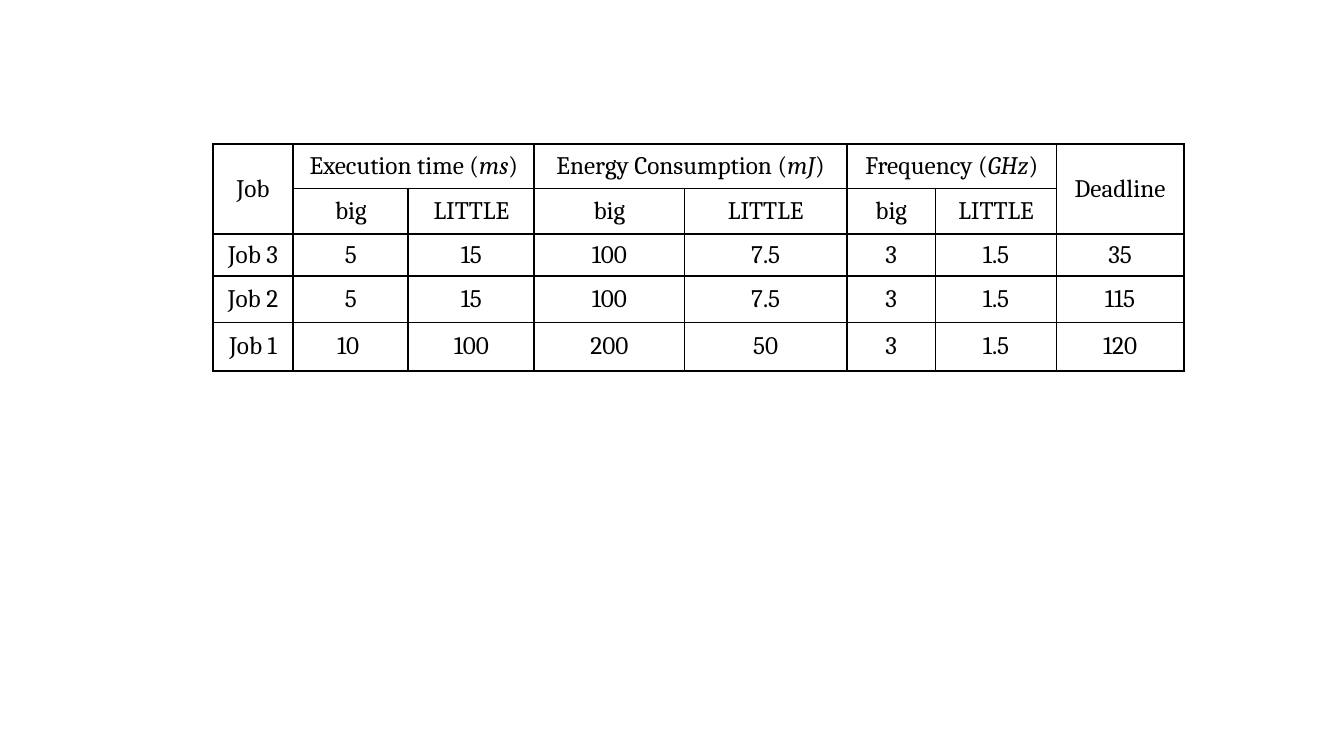
from lxml import etree
from pptx import Presentation
from pptx.dml.color import RGBColor
from pptx.enum.text import MSO_ANCHOR, PP_ALIGN
from pptx.oxml.ns import qn
from pptx.util import Inches, Pt

CENTER, MIDDLE = PP_ALIGN.CENTER, MSO_ANCHOR.MIDDLE
BLACK, WHITE = "000000", "FFFFFF"
BLANK_LAYOUT = 6

# Content: the groups each split into a big and a LITTLE column
GROUPS = [("Execution time", "ms"), ("Energy Consumption", "mJ"), ("Frequency", "GHz")]
CORES = ["big", "LITTLE"]
JOBS = [
    ("Job 3", "5", "15", "100", "7.5", "3", "1.5", "35"),
    ("Job 2", "5", "15", "100", "7.5", "3", "1.5", "115"),
    ("Job 1", "10 ", "100", "200", "50", "3", "1.5", "120"),
]

# Grid in inches
LEFT, TOP = 2.11, 1.43
COL_WIDTHS = [0.8, 1.14, 1.25, 1.49, 1.61, 0.88, 1.2, 1.26]
ROW_HEIGHTS = [0.44, 0.45, 0.42, 0.46, 0.48]
LAST = len(COL_WIDTHS) - 1


def color(hex_value):
    return RGBColor.from_string(hex_value)


def write(cell, *texts, italic=(), size=18, font="Cambria", ink=BLACK):
    """Write the texts as runs; italic lists the indexes of slanted ones."""
    p = cell.text_frame.paragraphs[0]
    p.alignment = CENTER
    for i, text in enumerate(texts):
        r = p.add_run()
        r.text = text
        r.font.name, r.font.size = font, Pt(size)
        r.font.italic, r.font.bold = i in italic, False
        r.font.color.rgb = color(ink)


def add_borders(cell, ink=BLACK, width=1.5):
    tc_pr = cell._tc.get_or_add_tcPr()
    for side in ("lnL", "lnR", "lnT", "lnB"):
        ln = etree.SubElement(tc_pr, qn("a:" + side), w=str(Pt(width)))
        fill = etree.SubElement(ln, qn("a:solidFill"))
        etree.SubElement(fill, qn("a:srgbClr"), val=ink)


prs = Presentation()
prs.slide_width, prs.slide_height = Inches(13.33), Inches(7.5)
s = prs.slides.add_slide(prs.slide_layouts[BLANK_LAYOUT])

# Table and its grid
table = s.shapes.add_table(
    len(ROW_HEIGHTS), len(COL_WIDTHS), Inches(LEFT), Inches(TOP),
    Inches(sum(COL_WIDTHS)), Inches(sum(ROW_HEIGHTS))).table
table.first_row = table.horz_banding = False
for column, width in zip(table.columns, COL_WIDTHS):
    column.width = Inches(width)
for row, height in zip(table.rows, ROW_HEIGHTS):
    row.height = Inches(height)
for cell in table.iter_cells():
    add_borders(cell)
    cell.fill.solid()
    cell.fill.fore_color.rgb = color(WHITE)
    cell.vertical_anchor = MIDDLE

# Two-row header
for c, heading in ((0, "Job"), (LAST, "Deadline")):
    table.cell(0, c).merge(table.cell(1, c))
    write(table.cell(0, c), heading)
for g, (name, unit) in enumerate(GROUPS):
    first = 1 + g * len(CORES)
    table.cell(0, first).merge(table.cell(0, first + len(CORES) - 1))
    write(table.cell(0, first), name + " (", unit, ")", italic=(1,))
    for c, core in enumerate(CORES, first):
        write(table.cell(1, c), core)

# Job rows
for r, job in enumerate(JOBS, 2):
    for c, value in enumerate(job):
        write(table.cell(r, c), value)

prs.save("out.pptx")
